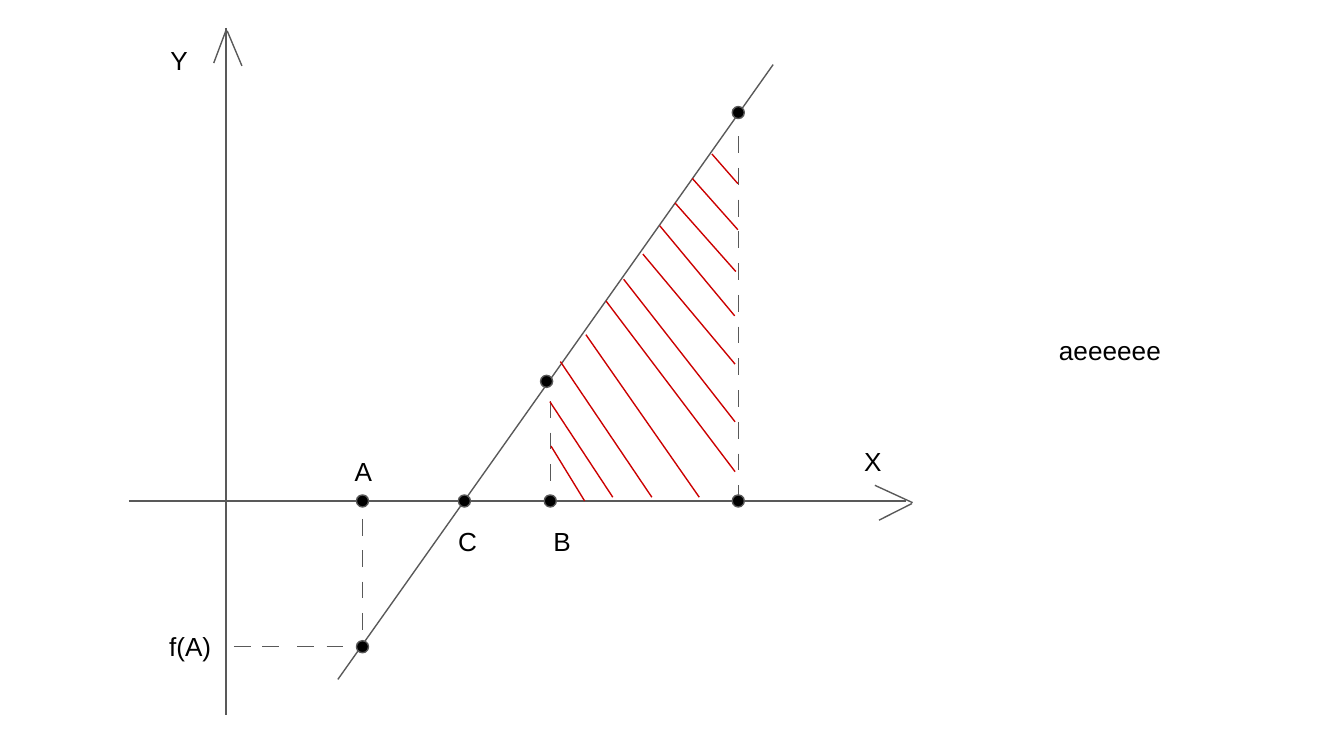
from dataclasses import dataclass

from lxml.etree import SubElement
from pptx import Presentation
from pptx.dml.color import RGBColor
from pptx.enum.shapes import MSO_CONNECTOR as Connector, MSO_SHAPE as Shape
from pptx.enum.text import MSO_AUTO_SIZE as AutoSize
from pptx.oxml.ns import qn
from pptx.util import Pt


@dataclass(frozen=True)
class Theme:
    ink: RGBColor = RGBColor(0x00, 0x00, 0x00)
    axis: RGBColor = RGBColor(0x59, 0x59, 0x59)
    hatch: RGBColor = RGBColor(0xCC, 0x00, 0x00)
    font: str = "Arial"
    label_size: float = 14
    stroke: float = 0.75


THEME = Theme()
DASH = 9
DOT = 6.5
INSET = 7.2
LABEL_HEIGHT = 31.7

X_AXIS_Y = 268.4
Y_AXIS_X = 121
A_X, C_X, B_X, END_X = 194.2, 248.8, 294.8, 395.5
F_A_Y, F_B_Y, F_END_Y = 346.5, 204.3, 60.3

AXES = [
    (Y_AXIS_X, 15, Y_AXIS_X, 383),
    (69, X_AXIS_Y, 485.3, X_AXIS_Y),
]
ARROWHEADS = [
    (121, 16.5, 114.5, 33.8),
    (121.7, 16.5, 129.6, 35.3),
    (468.7, 260, 488.9, 269.3),
    (488.5, 269.8, 470.9, 278.7),
]
GRAPH = (181, 364, 414.2, 34.6)

HATCHING = [
    (295.2, 239, 313.2, 268.4),
    (294.6, 215.2, 328.3, 266.4),
    (300.2, 193.7, 349.2, 266.4),
    (313.9, 179.3, 374.6, 266.4),
    (324.7, 161.3, 393.8, 252.7),
    (334.1, 149.6, 393.8, 226),
    (344.4, 136.1, 393.8, 195.1),
    (353.5, 121, 393.6, 169.2),
    (361.6, 108.7, 394.2, 145.5),
    (370.9, 95.6, 395.3, 123.1),
    (381.4, 82.5, 395.3, 98.4),
]

DOTS = [
    (A_X, F_A_Y), (A_X, X_AXIS_Y), (C_X, X_AXIS_Y), (B_X, X_AXIS_Y),
    (B_X - 2, F_B_Y), (END_X, X_AXIS_Y), (END_X, F_END_Y),
]

LABELS = [
    ("Y", 84.2, 16.6, 373),
    ("X", 455.8, 231.3, 32.4),
    ("A", 182.9, 236.9, 211),
    ("f(A)", 83.5, 330.5, 38.2),
    ("C", 238.3, 274.3, 27.4),
    ("B", 289.4, 274.3, 27.4),
    ("аееееее", 560.2, 172.1, 101.5),
]


def add_line(page, ends, color=THEME.axis):
    line = page.shapes.add_connector(Connector.STRAIGHT, *map(Pt, ends))
    line.line.color.rgb = color
    line.line.width = Pt(THEME.stroke)
    SubElement(line._element.spPr, qn("a:effectLst"))


def add_vertical_dashes(page, x, top, step, count):
    for index in range(count):
        start = top + index * step
        add_line(page, (x, start, x, start + DASH))


def add_horizontal_dashes(page, y, starts):
    for start in starts:
        add_line(page, (start, y, start + DASH, y))


def add_dot(page, x, y):
    dot = page.shapes.add_shape(
        Shape.OVAL, Pt(x - DOT / 2), Pt(y - DOT / 2), Pt(DOT), Pt(DOT))
    dot.shadow.inherit = False
    dot.fill.solid()
    dot.fill.fore_color.rgb = THEME.ink
    dot.line.color.rgb = THEME.axis
    dot.line.width = Pt(THEME.stroke)


def add_label(page, text, left, top, width):
    box = page.shapes.add_textbox(Pt(left), Pt(top), Pt(width), Pt(LABEL_HEIGHT))
    frame = box.text_frame
    frame.word_wrap = True
    frame.auto_size = AutoSize.SHAPE_TO_FIT_TEXT
    frame.margin_left = frame.margin_right = Pt(INSET)
    frame.margin_top = frame.margin_bottom = Pt(INSET)
    para = frame.paragraphs[0]
    para.text = text
    para.font.name = THEME.font
    para.font.size = Pt(THEME.label_size)
    para.font.color.rgb = THEME.ink


def main():
    deck = Presentation()
    deck.slide_width, deck.slide_height = Pt(720), Pt(405)
    page = deck.slides.add_slide(deck.slide_layouts[6])

    for ends in [*AXES, *ARROWHEADS, GRAPH]:
        add_line(page, ends)
    add_vertical_dashes(page, A_X, 278, 16.8, 4)
    add_vertical_dashes(page, B_X, 215, 16.8, 3)
    add_vertical_dashes(page, END_X, 73, 17, 12)
    add_horizontal_dashes(page, F_A_Y, (125.3, 140.6, 159.2, 175))
    for ends in HATCHING:
        add_line(page, ends, THEME.hatch)
    for center in DOTS:
        add_dot(page, *center)
    for label in LABELS:
        add_label(page, *label)

    deck.save("out.pptx")


if __name__ == "__main__":
    main()
